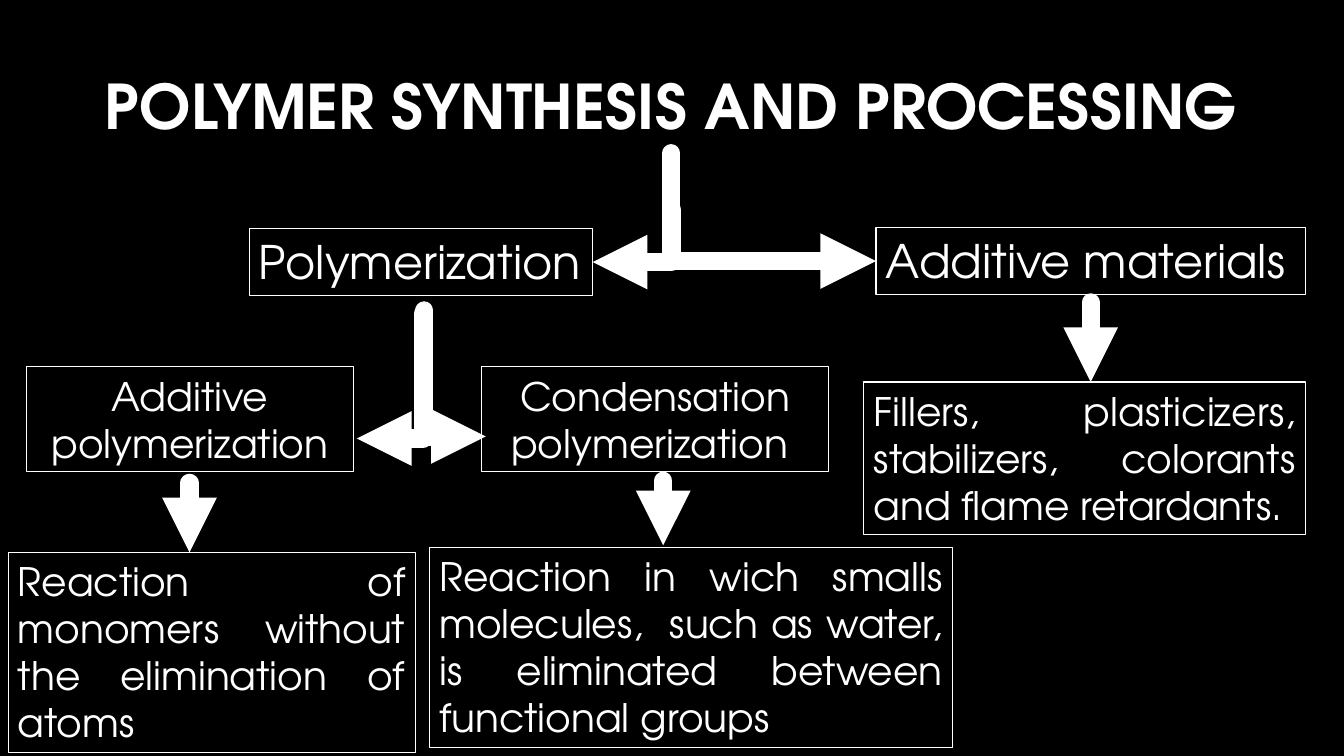
from dataclasses import dataclass

import pptx
import pptx.dml.color
import pptx.enum.shapes
import pptx.enum.text
import pptx.oxml.ns
import pptx.slide
import pptx.util
from lxml import etree

ALIGN = pptx.enum.text.PP_ALIGN
ANCHOR = pptx.enum.text.MSO_ANCHOR
FONT = "TeX Gyre Adventor"
WHITE, BLACK = "FFFFFF", "000000"
SLIDE_WIDTH = pptx.util.Inches(13.333)
SLIDE_HEIGHT = pptx.util.Inches(7.5)


@dataclass
class Label:
    """Text in a frame; lengths are percentages of the slide's size."""
    text: str
    left: float
    top: float
    width: float
    height: float
    size: float = 28
    align: ALIGN = ALIGN.JUSTIFY
    heading: bool = False


@dataclass
class Arrow:
    """Arrow that runs down, then sideways if its ends differ in x."""
    x1: float
    y1: float
    x2: float
    y2: float
    weight: float = 13


LABELS = [
    Label("POLYMER SYNTHESIS AND PROCESSING", 4.2, 0, 91.5, 27.73,
          44, ALIGN.CENTER, True),
    Label("Polymerization", 18.53, 30.27, 25.57, 8.8, 33, ALIGN.LEFT),
    Label("Additive materials", 65.18, 30.13, 31.95, 8.8, 33, ALIGN.LEFT),
    Label("Additive\npolymerization", 1.95, 48.53, 24.38, 13.87,
          align=ALIGN.CENTER),
    Label("Condensation polymerization ", 35.85, 48.53, 25.8, 13.87,
          align=ALIGN.CENTER),
    Label("Reaction of monomers without the elimination of atoms",
          0.6, 73.07, 30.3, 26.53),
    Label("Reaction in wich smalls molecules,  such as water, "
          "is eliminated between functional groups",
          31.95, 72.4, 38.92, 26.53),
    Label("Fillers, plasticizers, stabilizers, colorants and flame retardants.",
          64.27, 50.53, 32.85, 20.13),
]

ARROWS = [
    Arrow(49.95, 27.73, 65.18, 34.53, 13.25),
    Arrow(49.95, 20.27, 44.1, 34.67),
    Arrow(81.15, 40, 81.15, 50.53),
    Arrow(49.35, 63.6, 49.35, 72.13),
    Arrow(14.1, 63.87, 14.1, 73.07),
    Arrow(31.58, 41.07, 36.15, 57.73),
    Arrow(31.5, 41.47, 26.55, 58),
]


def color(value: str) -> pptx.dml.color.RGBColor:
    return pptx.dml.color.RGBColor.from_string(value)


def across(share: float) -> int:
    return round(SLIDE_WIDTH * share / 100)


def down(share: float) -> int:
    return round(SLIDE_HEIGHT * share / 100)


def add_label(slide: pptx.slide.Slide, label: Label) -> None:
    box = slide.shapes.add_textbox(across(label.left), down(label.top),
                                   across(label.width), down(label.height))
    frame = box.text_frame
    frame.word_wrap = True
    frame.text = label.text
    if label.heading:
        frame.vertical_anchor = ANCHOR.MIDDLE
    else:
        frame.auto_size = pptx.enum.text.MSO_AUTO_SIZE.SHAPE_TO_FIT_TEXT
        box.line.color.rgb = color(WHITE)
        box.line.width = pptx.util.Pt(0.75)
    for paragraph in frame.paragraphs:
        paragraph.alignment = label.align
        for run in paragraph.runs:
            run.font.name = FONT
            run.font.size = pptx.util.Pt(label.size)
            run.font.bold = label.heading
            run.font.color.rgb = color(WHITE)


def add_arrow(slide: pptx.slide.Slide, arrow: Arrow) -> None:
    x1, y1 = across(arrow.x1), down(arrow.y1)
    x2, y2 = across(arrow.x2), down(arrow.y2)
    kinds = pptx.enum.shapes.MSO_CONNECTOR
    qn = pptx.oxml.ns.qn
    if x1 == x2:
        connector = slide.shapes.add_connector(kinds.STRAIGHT, x1, y1, x2, y2)
    else:
        # A one-bend connector runs sideways first, so it is turned a quarter.
        mid_x, mid_y = (x1 + x2) // 2, (y1 + y2) // 2
        half_w, half_h = (y2 - y1) // 2, abs(x2 - x1) // 2
        connector = slide.shapes.add_connector(
            kinds.ELBOW, mid_x - half_w, mid_y - half_h,
            mid_x + half_w, mid_y + half_h)
        properties = connector._element.spPr
        properties.find(qn("a:prstGeom")).set("prst", "bentConnector2")
        transform = properties.find(qn("a:xfrm"))
        transform.set("rot", str((270 if x2 > x1 else 90) * 60000))
        if x2 > x1:
            transform.set("flipH", "1")
    connector.line.color.rgb = color(WHITE)
    connector.line.width = pptx.util.Pt(arrow.weight)
    properties = connector._element.spPr
    line = properties.find(qn("a:ln"))
    line.set("cap", "rnd")
    etree.SubElement(line, qn("a:round"))
    etree.SubElement(line, qn("a:tailEnd"), type="triangle")
    etree.SubElement(properties, qn("a:effectLst"))


def main() -> None:
    presentation = pptx.Presentation()
    presentation.slide_width = SLIDE_WIDTH
    presentation.slide_height = SLIDE_HEIGHT
    slide = presentation.slides.add_slide(presentation.slide_layouts[6])
    slide.background.fill.solid()
    slide.background.fill.fore_color.rgb = color(BLACK)
    for label in LABELS:
        add_label(slide, label)
    for arrow in ARROWS:
        add_arrow(slide, arrow)
    presentation.save("out.pptx")


if __name__ == "__main__":
    main()
